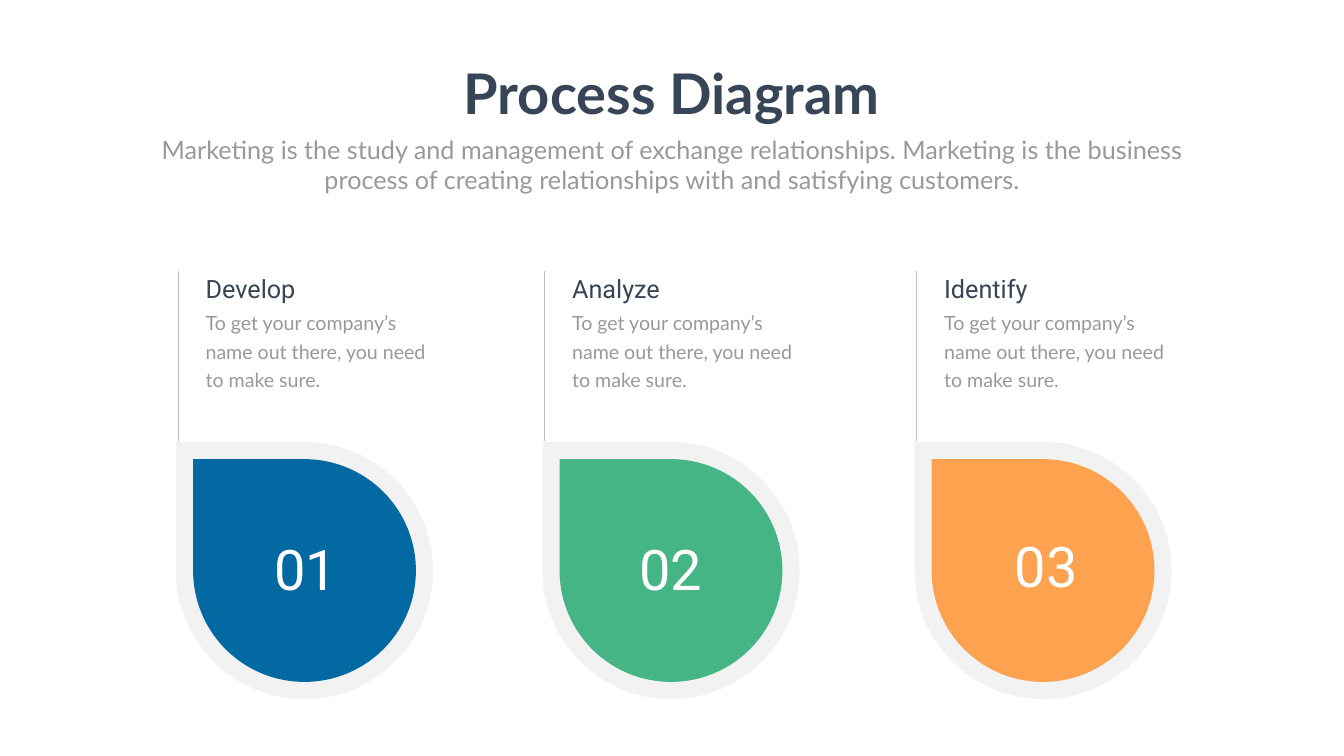
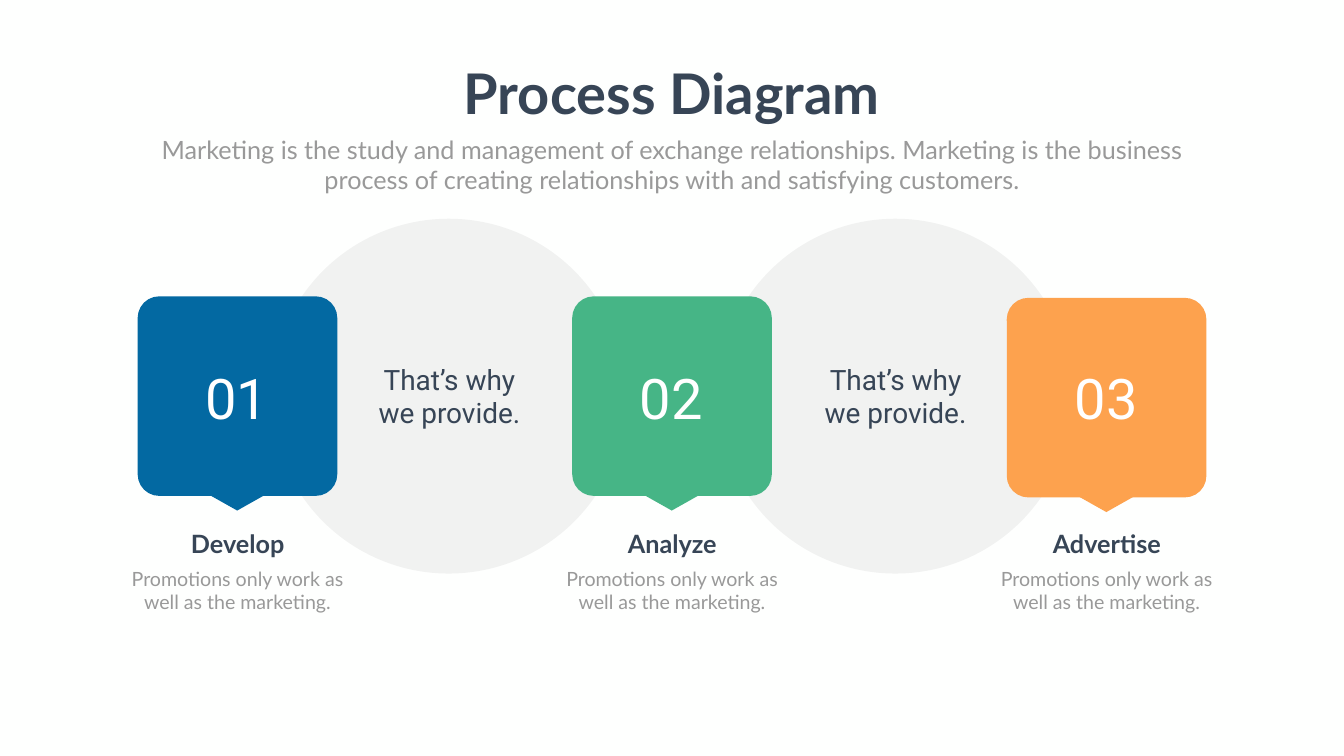
from lxml import etree
from pptx import Presentation
from pptx.dml.color import RGBColor
from pptx.enum.shapes import MSO_CONNECTOR, MSO_SHAPE
from pptx.enum.text import MSO_ANCHOR, MSO_AUTO_SIZE, PP_ALIGN
from pptx.oxml.ns import qn
from pptx.util import Inches, Pt

BACKGROUND = RGBColor(0xFE, 0xFF, 0xFE)
NAVY = RGBColor(0x37, 0x45, 0x56)
GRAY = RGBColor(0x99, 0x99, 0x99)
HALO = RGBColor(0x80, 0x80, 0x80)
RULE = RGBColor(0xBF, 0xBF, 0xBF)
WHITE = RGBColor(0xFF, 0xFF, 0xFF)
BLUE = RGBColor(0x03, 0x69, 0xA2)
GREEN = RGBColor(0x46, 0xB5, 0x86)
ORANGE = RGBColor(0xFD, 0xA2, 0x4E)

HEADING_FONT = "Lato"
LABEL_FONT = "Roboto"

TITLE = "Process Diagram"
SUBTITLE = (
    "Marketing is the study and management of exchange relationships. "
    "Marketing is the business process of creating relationships with "
    "and satisfying customers."
)

DROP_TEXT = "To get your company’s name out there, you need to make sure."
DROPS = [
    {"number": "01", "label": "Develop", "color": BLUE, "left": 3.49, "number_box": (4.99, 10.55, 2.15, 1.45)},
    {"number": "02", "label": "Analyze", "color": GREEN, "left": 10.76, "number_box": (12.55, 10.55, 1.52, 1.45)},
    {"number": "03", "label": "Identify", "color": ORANGE, "left": 18.14, "number_box": (19.68, 10.5, 2.15, 1.45)},
]
DROP_TOP, DROP_SIZE, DROP_BORDER = 8.77, 5.1, 0.34

BADGE_TEXT = "Promotions only work as well as the marketing."
BADGES = [
    ("01", "Develop", BLUE, 5.88),
    ("02", "Analyze", GREEN, 5.88),
    ("03", "Advertise", ORANGE, 5.91),
]
BADGE_LEFT, BADGE_STEP, BADGE_SIZE = 2.73, 8.62, 3.96

CIRCLE_TEXT = "That’s why we provide."
CIRCLES = [(5.38, 7.27), (14.24, 16.12)]
CIRCLE_TOP, CIRCLE_SIZE = 4.34, 7.04


def inches(box):
    return [Inches(value) for value in box]


def write(shape, text, size, color, font=HEADING_FONT, bold=False,
          align=PP_ALIGN.CENTER, line_spacing=1.0, wrap=True):
    frame = shape.text_frame
    frame.text = text
    frame.word_wrap = wrap
    frame.auto_size = MSO_AUTO_SIZE.SHAPE_TO_FIT_TEXT
    frame.vertical_anchor = MSO_ANCHOR.TOP
    paragraph = frame.paragraphs[0]
    paragraph.alignment = align
    paragraph.line_spacing = line_spacing
    paragraph.space_before = Pt(0)
    run_font = paragraph.runs[0].font
    run_font.name, run_font.size, run_font.bold = font, Pt(size), bold
    run_font.color.rgb = color


def add_text(slide, box, *args, **style):
    write(slide.shapes.add_textbox(*inches(box)), *args, **style)


def add_shape(slide, kind, box, color, rotation=0, opacity=None):
    shape = slide.shapes.add_shape(kind, *inches(box))
    shape.rotation = rotation
    shape.shadow.inherit = False
    shape.line.fill.background()
    shape.fill.solid()
    shape.fill.fore_color.rgb = color
    if opacity is not None:
        color_element = shape.fill._xPr.find(qn("a:solidFill"))[0]
        etree.SubElement(color_element, qn("a:alpha"), val=str(opacity * 1000))
    return shape


def add_rule(slide, x, bottom, top):
    rule = slide.shapes.add_connector(MSO_CONNECTOR.STRAIGHT, *inches((x, bottom, x, top)))
    rule.line.color.rgb = RULE
    rule.line.width = Pt(0.5)
    etree.SubElement(rule._element.spPr, qn("a:effectLst"))


def place(shape, box):
    shape.left, shape.top, shape.width, shape.height = inches(box)


def add_slide(presentation):
    slide = presentation.slides.add_slide(presentation.slide_layouts[1])
    title, subtitle = slide.placeholders
    place(title, (9.01, 1.12, 8.63, 1.45))
    write(title, TITLE, 80, NAVY, bold=True, wrap=False)
    place(subtitle, (2.92, 2.61, 20.82, 1.31))
    write(subtitle, SUBTITLE, 36, GRAY)
    properties = subtitle.text_frame.paragraphs[0]._p.get_or_add_pPr()
    properties.set("marL", "0")
    properties.set("indent", "0")
    etree.SubElement(properties, qn("a:buNone"))
    return slide


def build_drops(presentation):
    slide = add_slide(presentation)
    core_size = DROP_SIZE - 2 * DROP_BORDER
    for drop in DROPS:
        left = drop["left"]
        core_box = (left + DROP_BORDER, DROP_TOP + DROP_BORDER, core_size, core_size)
        add_shape(slide, MSO_SHAPE.TEAR, (left, DROP_TOP, DROP_SIZE, DROP_SIZE), HALO, 270, opacity=10)
        add_shape(slide, MSO_SHAPE.TEAR, core_box, drop["color"], 270)
        add_rule(slide, left + 0.04, 8.75, 5.37)
        add_text(slide, (left + 0.49, 6.02, 4.61, 1.77), DROP_TEXT, 28, GRAY,
                 align=PP_ALIGN.LEFT, line_spacing=Pt(40.8))
        add_text(slide, (left + 0.49, 5.37, 4.39, 0.71), drop["label"], 36, NAVY,
                 font=LABEL_FONT, align=PP_ALIGN.LEFT)
        add_text(slide, drop["number_box"], drop["number"], 80, WHITE, font=LABEL_FONT)


def build_badges(presentation):
    slide = add_slide(presentation)
    for circle_left, text_left in CIRCLES:
        add_shape(slide, MSO_SHAPE.OVAL, (circle_left, CIRCLE_TOP, CIRCLE_SIZE, CIRCLE_SIZE), HALO, opacity=10)
        add_text(slide, (text_left, 7.14, 3.29, 1.45), CIRCLE_TEXT, 40, NAVY, font=LABEL_FONT)
    for index, (number, label, color, top) in enumerate(BADGES):
        left = BADGE_LEFT + index * BADGE_STEP
        center = left + BADGE_SIZE / 2
        badge = add_shape(slide, MSO_SHAPE.ROUNDED_RECTANGLE, (left, top, BADGE_SIZE, BADGE_SIZE), color, 90)
        badge.adjustments[0] = 0.108
        add_shape(slide, MSO_SHAPE.ISOSCELES_TRIANGLE, (center - 0.68, top + 3.87, 1.35, 0.38), color, 180)
        add_text(slide, (center - 0.96, 7.17, 1.9, 1.45), number, 80, WHITE, font=LABEL_FONT)
        add_text(slide, (center - 1.3, 10.43, 2.61, 0.71), label, 36, NAVY, bold=True)
        add_text(slide, (center - 2.52, 11.19, 5.04, 1.04), BADGE_TEXT, 28, GRAY)


def main():
    presentation = Presentation()
    presentation.slide_width = Inches(26.66)
    presentation.slide_height = Inches(15)
    background = presentation.slide_master.background.fill
    background.solid()
    background.fore_color.rgb = BACKGROUND
    build_drops(presentation)
    build_badges(presentation)
    presentation.save("out.pptx")


if __name__ == "__main__":
    main()
